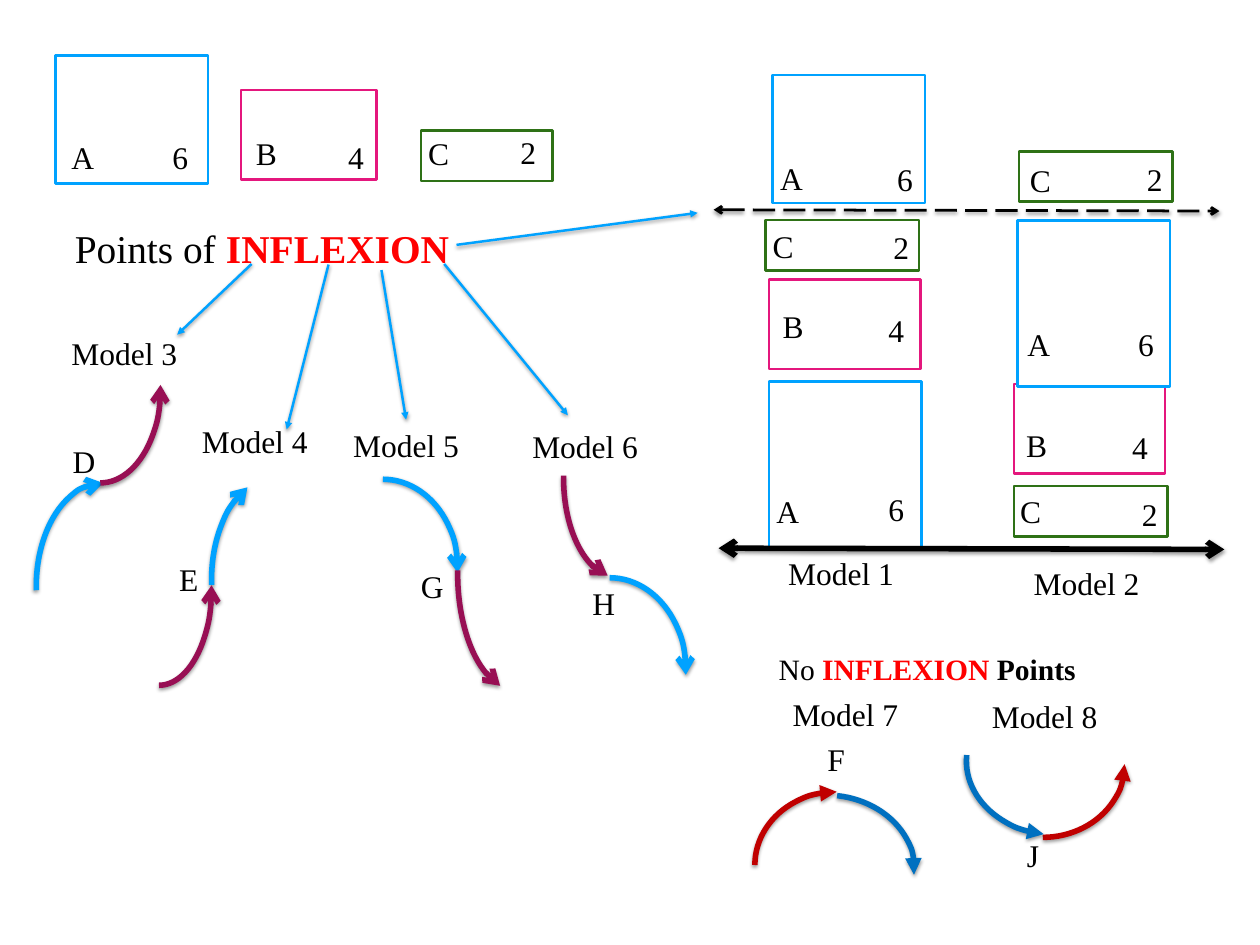
from dataclasses import dataclass
from pptx import Presentation
from pptx.dml.color import RGBColor
from pptx.enum.dml import MSO_LINE as Dash
from pptx.enum.shapes import MSO_CONNECTOR as Link, MSO_SHAPE as Form
from pptx.enum.text import MSO_ANCHOR as Anchor, MSO_AUTO_SIZE as Fit, PP_ALIGN as Align
from pptx.oxml import parse_xml
from pptx.oxml.ns import nsdecls, qn
from pptx.util import Pt


@dataclass(frozen=True)
class Theme:
    font: str = "Times New Roman"
    black: str = "000000"
    white: str = "FFFFFF"
    blue: str = "00A2FF"
    pink: str = "E4177D"
    green: str = "2E7116"
    plum: str = "980F54"
    alert: str = "FF0000"
    red: str = "C00000"
    navy: str = "0070C0"
    title: float = 32
    label: float = 25.6
    note: float = 24


theme = Theme()
NS = nsdecls("a")
SHADOW = (f'<a:effectLst {NS}><a:outerShdw blurRad="{Pt(3)}" dist="{Pt(1.6)}" '
          f'dir="5400000" rotWithShape="0"><a:srgbClr val="{theme.black}">'
          '<a:alpha val="38000"/></a:srgbClr></a:outerShdw></a:effectLst>')


def write(box, text, size=theme.label, color=theme.black, bold=False, align=Align.LEFT):
    """Add a run to the first paragraph of a box."""
    frame = box.text_frame
    frame.word_wrap = True
    frame.auto_size = Fit.SHAPE_TO_FIT_TEXT
    frame.vertical_anchor = Anchor.MIDDLE
    frame.margin_left = frame.margin_right = Pt(5)
    frame.margin_top = frame.margin_bottom = Pt(5)
    para = frame.paragraphs[0]
    para.alignment = align
    run = para.add_run()
    run.text = text
    run.font.name = theme.font
    run.font.size = Pt(size)
    run.font.bold = bold
    run.font.color.rgb = RGBColor.from_string(color)


def trace(shape, color, width, dash=None, **ends):
    """Style a line with a soft shadow; ends maps head and tail to arrow kinds."""
    line = shape.line
    line.color.rgb = RGBColor.from_string(color)
    line.width = Pt(width)
    if dash:
        line.dash_style = dash
    props = shape.element.spPr
    for end, kind in ends.items():
        props.find(qn("a:ln")).append(parse_xml(f'<a:{end}End {NS} type="{kind}"/>'))
    props.append(parse_xml(SHADOW))


deck = Presentation()
deck.slide_width, deck.slide_height = Pt(1024), Pt(768)
slide = deck.slides.add_slide(deck.slide_layouts[5])
shapes = slide.shapes

title = shapes.title
title.left, title.top, title.width, title.height = Pt(28), Pt(176.5), Pt(370), Pt(49)
write(title, "Points of ", size=theme.title, align=Align.CENTER)
write(title, "INFLEXION", size=theme.title, color=theme.alert, bold=True, align=Align.CENTER)

# Cards: name, left, top, width, height, then the places of name and value
kinds = {"A": ("6", theme.blue), "B": ("4", theme.pink), "C": ("2", theme.green)}
cards = [
    ("A", 45, 45, 124, 104, (53, 107), (135, 107)),
    ("B", 196, 73, 110, 73, (203, 104), (278, 107)),
    ("C", 342, 106, 107, 41, (343, 104), (418, 103)),
    ("A", 625, 310, 124, 135, (626, 395), (717, 393)),
    ("B", 625, 227, 123, 73, (631, 244), (717, 248)),
    ("C", 622, 179, 125, 41, (623, 179), (721, 180)),
    ("A", 628, 61, 124, 104, (629, 124), (724, 125)),
    ("C", 828, 123, 125, 41, (832, 126), (927, 125)),
    ("C", 824, 395, 125, 41, (824, 395), (923, 397)),
    ("B", 824, 312, 123, 73, (829, 341), (915, 343)),
    ("A", 827, 179, 124, 135, (830, 259), (920, 259)),
]
labels = [
    ("D", 54, 354), ("E", 140.5, 450), ("G", 337, 456),
    ("H", 476.5, 469.5), ("F", 667.5, 596), ("J", 829.5, 674.5),
]
for name, x, y, w, h, spot, mark in cards:
    value, color = kinds[name]
    card = shapes.add_shape(Form.RECTANGLE, Pt(x), Pt(y), Pt(w), Pt(h))
    card.shadow.inherit = False
    card.fill.solid()
    card.fill.fore_color.rgb = RGBColor.from_string(theme.white)
    card.line.color.rgb = RGBColor.from_string(color)
    card.line.width = Pt(2)
    labels += [(name, *spot), (value, *mark)]

# Axes, then pointers from the title to the models
both = {"head": "arrow", "tail": "arrow"}
tip = {"tail": "triangle"}
lines = [
    (584, 445.5, 995, 446.5, theme.black, 4.5, None, both),
    (580, 170.5, 991, 171.5, theme.black, 2.25, Dash.LONG_DASH, both),
    (361, 214.5, 461.5, 337.5, theme.blue, 2, None, tip),
    (204.5, 214.5, 144, 272, theme.blue, 2, None, tip),
    (267, 215, 233, 349, theme.blue, 2, None, tip),
    (371, 199, 567, 173, theme.blue, 2, None, tip),
    (310, 219.5, 330, 341, theme.blue, 2, None, tip),
]
for x1, y1, x2, y2, color, width, dash, ends in lines:
    line = shapes.add_connector(Link.STRAIGHT, Pt(x1), Pt(y1), Pt(x2), Pt(y2))
    trace(line, color, width, dash, **ends)

# Arcs: left, top, width, height, flips, turn, start and stop, colour, end, arrow
arcs = [
    (29.5, 392.5, 108.5, 168, "H", 0, (162, 2.01), theme.blue, "head", "arrow"),
    (32.5, 239, 98, 153.5, "V", 0, (162, 2.01), theme.plum, "tail", "arrow"),
    (172, 386.5, 108.5, 168, "H", 0, (173.19, 3.06), theme.blue, "head", "arrow"),
    (86.5, 399.5, 85.5, 157.5, "V", 0, (162, 2.01), theme.plum, "tail", "arrow"),
    (250.5, 389.5, 121.5, 144.5, "", 0, (162, 2.01), theme.blue, "tail", "arrow"),
    (372, 371, 99.5, 191, "HV", 0, (167.72, 2.01), theme.plum, "head", "arrow"),
    (433.5, 469.5, 124, 150.5, "", 0, (162, 2.01), theme.blue, "tail", "arrow"),
    (458, 307.5, 89.5, 162, "HV", 0, (165.83, 1.53), theme.plum, "head", "arrow"),
    (613.5, 643.5, 133, 119, "H", 0, (162, 0), theme.red, "head", "triangle"),
    (617, 634.5, 114.5, 138, "H", 96.1, (162, 0), theme.navy, "head", "triangle"),
    (781, 561.5, 133, 119, "H", 180, (162, 0), theme.red, "tail", "triangle"),
    (797, 552, 114.5, 138, "H", 276.1, (162, 0), theme.navy, "tail", "triangle"),
]
for x, y, w, h, flips, turn, span, color, end, kind in arcs:
    arc = shapes.add_shape(Form.ARC, Pt(x), Pt(y), Pt(w), Pt(h))
    arc.adjustments[0], arc.adjustments[1] = span
    arc.rotation = turn
    arc.fill.background()
    for flip in flips:
        arc.element.spPr.find(qn("a:xfrm")).set(f"flip{flip}", "1")
    trace(arc, color, 4.5, **{end: kind})

for text, x, y in labels:
    box = shapes.add_textbox(Pt(x), Pt(y), Pt(32), Pt(41))
    write(box, text)

models = [
    (623.5, 445), (823, 453), (41, 266.5), (147, 337.5),
    (270, 341), (415.5, 342), (627, 560), (789, 561.5),
]
for num, (x, y) in enumerate(models, 1):
    box = shapes.add_textbox(Pt(x), Pt(y), Pt(120), Pt(41))
    write(box, f"Model {num}", align=Align.CENTER)

note = shapes.add_textbox(Pt(568.5), Pt(524), Pt(370), Pt(39.5))
write(note, "No ", size=theme.note, align=Align.CENTER)
write(note, "INFLEXION ", size=theme.note, color=theme.alert, bold=True, align=Align.CENTER)
write(note, "Points", size=theme.note, bold=True, align=Align.CENTER)

deck.save("out.pptx")
